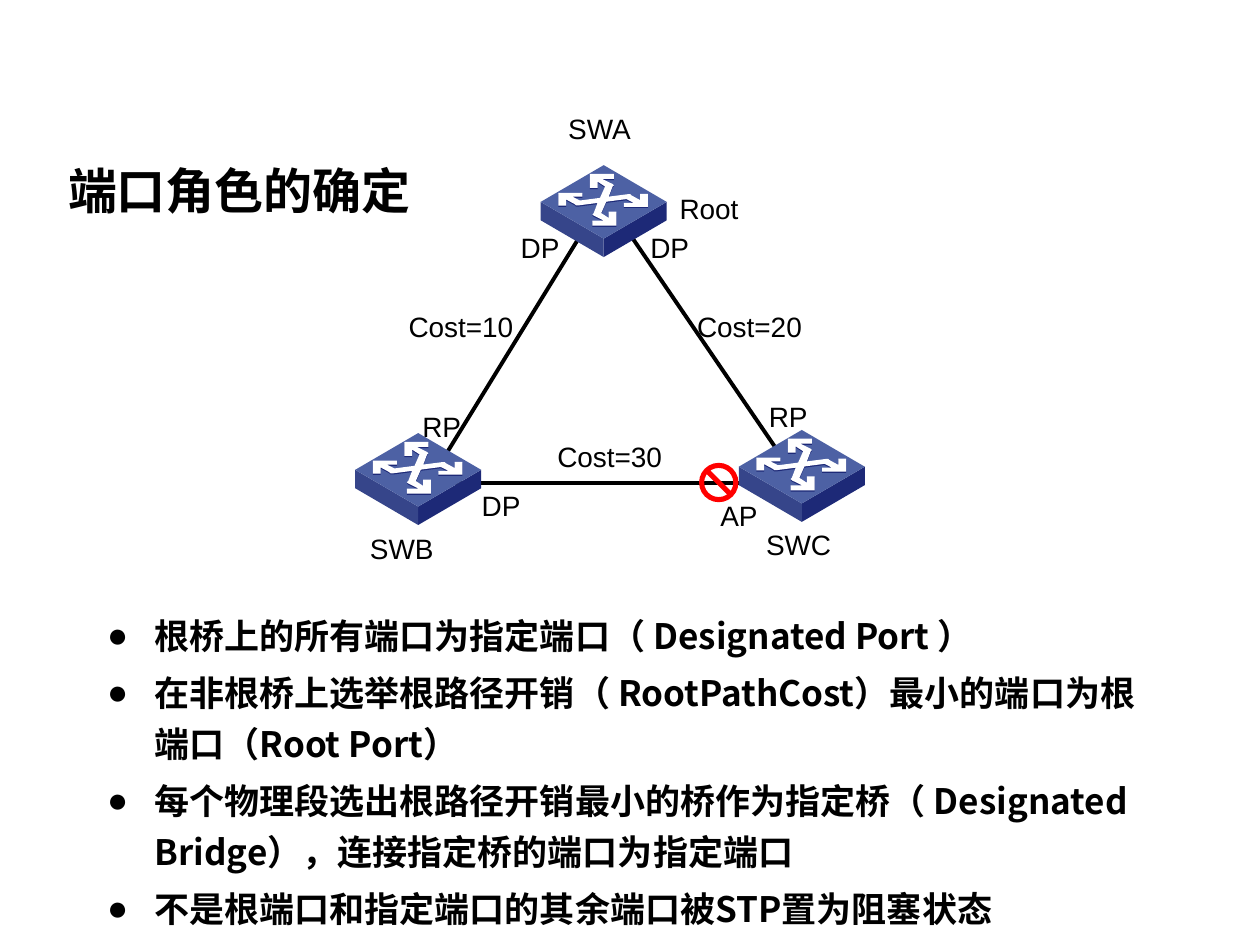
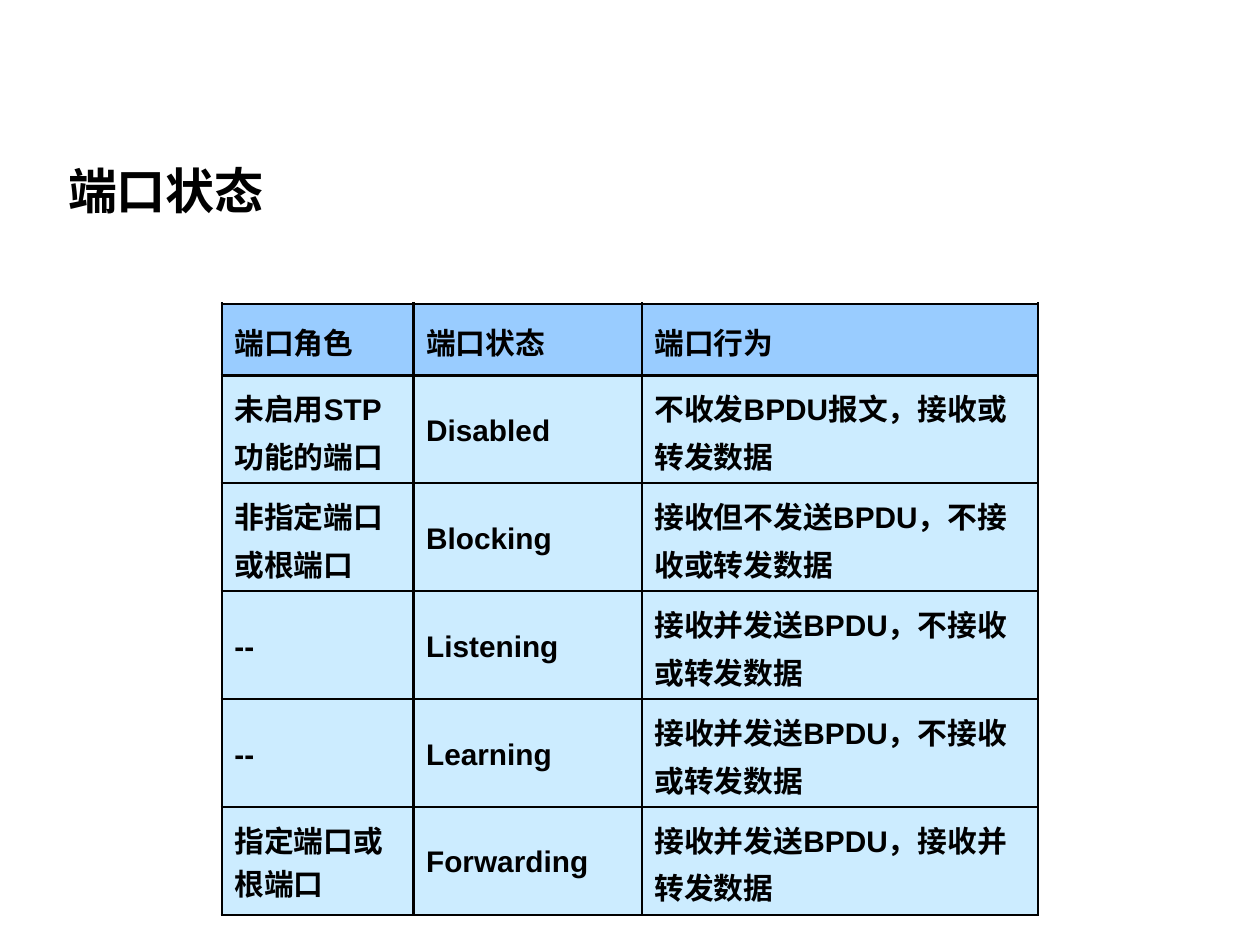
from lxml import etree
from pptx import Presentation
from pptx.dml.color import RGBColor
from pptx.enum.shapes import MSO_CONNECTOR, MSO_SHAPE
from pptx.enum.text import MSO_ANCHOR, MSO_AUTO_SIZE, PP_ALIGN
from pptx.oxml.ns import qn
from pptx.util import Pt

STRAIGHT = MSO_CONNECTOR.STRAIGHT
NO_SYMBOL = MSO_SHAPE.NO_SYMBOL
MIDDLE, TOP = MSO_ANCHOR.MIDDLE, MSO_ANCHOR.TOP
LEFT, CENTER = PP_ALIGN.LEFT, PP_ALIGN.CENTER
NO_FIT = MSO_AUTO_SIZE.NONE
TITLE_AND_CONTENT, TITLE_ONLY = 1, 5

COLORS = {
    "text": "000000",
    "white": "FFFFFF",
    "tile_top": "4D61A4",
    "tile_left": "36458A",
    "tile_right": "1D2977",
    "blocked": "FF0000",
    "header": "99CCFF",
    "cell": "CCECFF",
}
LATIN, CJK, TITLE_CJK = "Arial", "Noto Sans CJK SC", "Noto Sans CJK JP"

# Switch tile: width, height of the top face, thickness, centre of the arrows
TILE_W, TILE_H, TILE_D = 72, 42, 10.5
ARROWS_X, ARROWS_Y = 35.7, 19.8
# Half of the crossed arrows around their centre; the rest is its half turn
HALF_ARROWS = [
    (25.6, -3.4), (21.2, -3.4), (21.2, 0.2), (16.2, -2.5), (15.5, -3.2),
    (14, -3.2), (3.2, -1.8), (5.4, -7.6), (6.1, -8.3), (5.4, -9),
    (-0.4, -11.9), (6.1, -11.9), (6.1, -14.8), (-7.6, -14.8), (-7.6, -6.8),
    (-3.2, -6.8), (-3.2, -10.4), (1.1, -7.6), (-1.8, -1.1), (-13.3, 0.4),
    (-17.6, -1.8), (-11.9, -1.8), (-11.9, -4), (-25.6, -4),
]
ARROWS = HALF_ARROWS + [(-x, -y) for x, y in HALF_ARROWS]

LINKS = [(252, 264.2, 332, 134), (258, 275.8, 433.5, 275.8),
         (360, 134, 445, 258.5)]
SWITCHES = [(203, 247.5), (422.2, 245.7), (309, 94.4)]
WIDE, NARROW = 102, 57
LABELS = [
    ("SWA", 291.6, 60.5, WIDE), ("SWB", 178.6, 300.2, WIDE),
    ("SWC", 405.4, 298.1, WIDE), ("Root", 354.2, 105.8, WIDE),
    ("DP", 280.1, 128.2, NARROW), ("DP", 354.2, 128.2, NARROW),
    ("RP", 223.9, 230.4, NARROW), ("DP", 257.8, 275.8, NARROW),
    ("RP", 421.9, 224.6, NARROW), ("AP", 393.8, 281.5, NARROW),
    ("Cost=10", 212.4, 173.5, WIDE), ("Cost=20", 377.3, 173.5, WIDE),
    ("Cost=30", 297.4, 247.7, WIDE),
]
RULES = [
    "根桥上的所有端口为指定端口（ Designated Port ）",
    "在非根桥上选举根路径开销（ RootPathCost）最小的端口为根端口（Root Port）",
    "每个物理段选出根路径开销最小的桥作为指定桥（ Designated Bridge），连接指定桥的端口为指定端口",
    "不是根端口和指定端口的其余端口被STP置为阻塞状态",
]
PORT_STATES = [
    ("端口角色", "端口状态", "端口行为"),
    ("未启用STP功能的端口", "Disabled", "不收发BPDU报文，接收或转发数据"),
    ("非指定端口或根端口", "Blocking", "接收但不发送BPDU，不接收或转发数据"),
    ("--", "Listening", "接收并发送BPDU，不接收或转发数据"),
    ("--", "Learning", "接收并发送BPDU，不接收或转发数据"),
    ("指定端口或根端口", "Forwarding", "接收并发送BPDU，接收并转发数据"),
]


def rgb(name):
    return RGBColor.from_string(COLORS[name])


def write(p, text, size=16, bold=False, color="text", latin=LATIN, cjk=CJK,
          align=LEFT, spacing=1.0, before=0):
    """Fill a paragraph with one formatted run."""
    p.alignment = align
    p.line_spacing = spacing
    p.space_before = Pt(before)
    r = p.add_run()
    r.text = text
    r.font.size = Pt(size)
    r.font.bold = bold
    r.font.name = latin
    r.font.color.rgb = rgb(color)
    etree.SubElement(r.font._element, qn("a:ea"), typeface=cjk)


def add_bullet(p, indent=27):
    pPr = p._p.get_or_add_pPr()
    pPr.set("marL", str(Pt(indent)))
    pPr.set("indent", str(-Pt(indent)))
    etree.SubElement(pPr, qn("a:buChar"), char="●")


def add_borders(cell, width=1.5):
    tcPr = cell._tc.get_or_add_tcPr()
    for side in ("lnL", "lnR", "lnT", "lnB"):
        ln = etree.SubElement(tcPr, qn(f"a:{side}"), w=str(Pt(width)))
        fill = etree.SubElement(ln, qn("a:solidFill"))
        etree.SubElement(fill, qn("a:srgbClr"), val=COLORS["text"])


class Deck:
    """Holds the presentation, its style and the current slide."""

    def __init__(self):
        self.prs = Presentation()
        self.prs.slide_width, self.prs.slide_height = Pt(720), Pt(540)
        self.slide = None

    def new_slide(self, layout, title):
        self.slide = self.prs.slides.add_slide(self.prs.slide_layouts[layout])
        tf = self.place(self.slide.shapes.title, 31.7, 82.8, 620, 51, MIDDLE)
        write(tf.paragraphs[0], title, size=28, bold=True,
              latin=TITLE_CJK, cjk=TITLE_CJK)

    def place(self, sp, x, y, w, h, anchor=TOP):
        sp.left, sp.top, sp.width, sp.height = Pt(x), Pt(y), Pt(w), Pt(h)
        tf = sp.text_frame
        tf.word_wrap = True
        tf.auto_size = NO_FIT
        tf.vertical_anchor = anchor
        return tf

    def bullets(self, items, x, y, w, h):
        tf = self.place(self.slide.placeholders[1], x, y, w, h)
        for i, item in enumerate(items):
            p = tf.add_paragraph() if i else tf.paragraphs[0]
            add_bullet(p)
            write(p, item, size=20, bold=True, latin=CJK, spacing=1.2,
                  before=4 if i else 0)

    def label(self, text, x, y, w, h=26.6):
        sp = self.slide.shapes.add_textbox(Pt(x), Pt(y), Pt(w), Pt(h))
        tf = self.place(sp, x, y, w, h)
        write(tf.paragraphs[0], text, align=CENTER)

    def link(self, x1, y1, x2, y2):
        line = self.slide.shapes.add_connector(
            STRAIGHT, Pt(x1), Pt(y1), Pt(x2), Pt(y2))
        line.line.color.rgb = rgb("text")
        line.line.width = Pt(2.25)
        etree.SubElement(line._element.spPr, qn("a:effectLst"))

    def paint(self, sp, color):
        sp.shadow.inherit = False
        sp.fill.solid()
        sp.fill.fore_color.rgb = rgb(color)
        sp.line.fill.background()

    def polygon(self, points, x, y, color):
        """Draw a closed outline whose points are relative to (x, y)."""
        corners = [(Pt(x + dx), Pt(y + dy)) for dx, dy in points]
        builder = self.slide.shapes.build_freeform(*corners[0])
        builder.add_line_segments(corners[1:])
        self.paint(builder.convert_to_shape(), color)

    def switch(self, x, y):
        right, left = (TILE_W, TILE_H / 2), (0, TILE_H / 2)
        back, front = (TILE_W / 2, 0), (TILE_W / 2, TILE_H)
        front_low = (TILE_W / 2, TILE_H + TILE_D)
        for side, color in ((right, "tile_right"), (left, "tile_left")):
            side_low = (side[0], side[1] + TILE_D)
            self.polygon([side, side_low, front_low, front], x, y, color)
        self.polygon([right, front, left, back], x, y, "tile_top")
        for drop, color in ((0.7, "tile_right"), (0, "white")):
            self.polygon(ARROWS, x + ARROWS_X, y + ARROWS_Y + drop, color)

    def blocked_sign(self, x, y, size):
        sp = self.slide.shapes.add_shape(
            NO_SYMBOL, Pt(x), Pt(y), Pt(size), Pt(size))
        sp.adjustments[0] = 0.13
        self.paint(sp, "blocked")

    def table(self, rows, x, y, widths, heights):
        table = self.slide.shapes.add_table(
            len(rows), len(widths), Pt(x), Pt(y),
            Pt(sum(widths)), Pt(sum(heights))).table
        table.horz_banding = False
        for column, w in zip(table.columns, widths):
            column.width = Pt(w)
        for i, (row, h) in enumerate(zip(rows, heights)):
            table.rows[i].height = Pt(h)
            for j, text in enumerate(row):
                cell = table.cell(i, j)
                add_borders(cell)
                cell.fill.solid()
                cell.fill.fore_color.rgb = rgb("cell" if i else "header")
                cell.vertical_anchor = MIDDLE
                last_role = i == len(rows) - 1 and j == 0
                write(cell.text_frame.paragraphs[0], text, size=17, bold=True,
                      spacing=1.0 if last_role else 1.1)


def main():
    deck = Deck()

    deck.new_slide(TITLE_AND_CONTENT, "端口角色的确定")
    deck.bullets(RULES, 54, 342.7, 607, 165.6)
    for ends in LINKS:
        deck.link(*ends)
    for corner in SWITCHES:
        deck.switch(*corner)
    deck.blocked_sign(399.5, 264.5, 22.5)
    for label in LABELS:
        deck.label(*label)

    deck.new_slide(TITLE_ONLY, "端口状态")
    deck.table(PORT_STATES, 126.7, 173.5, [109.6, 130.4, 226.6],
               [41] + [52.5] * 5)

    deck.prs.save("out.pptx")


if __name__ == "__main__":
    main()
